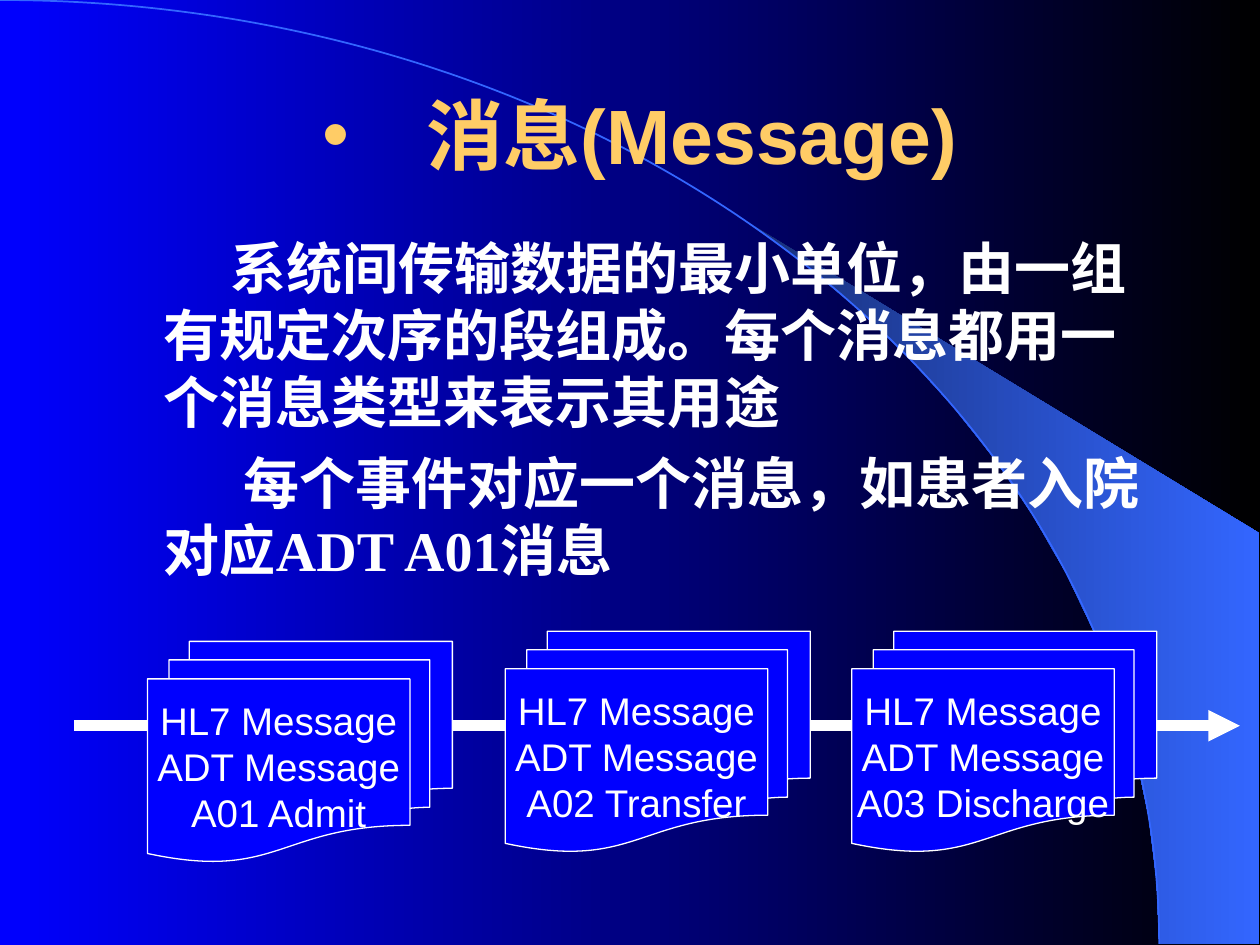
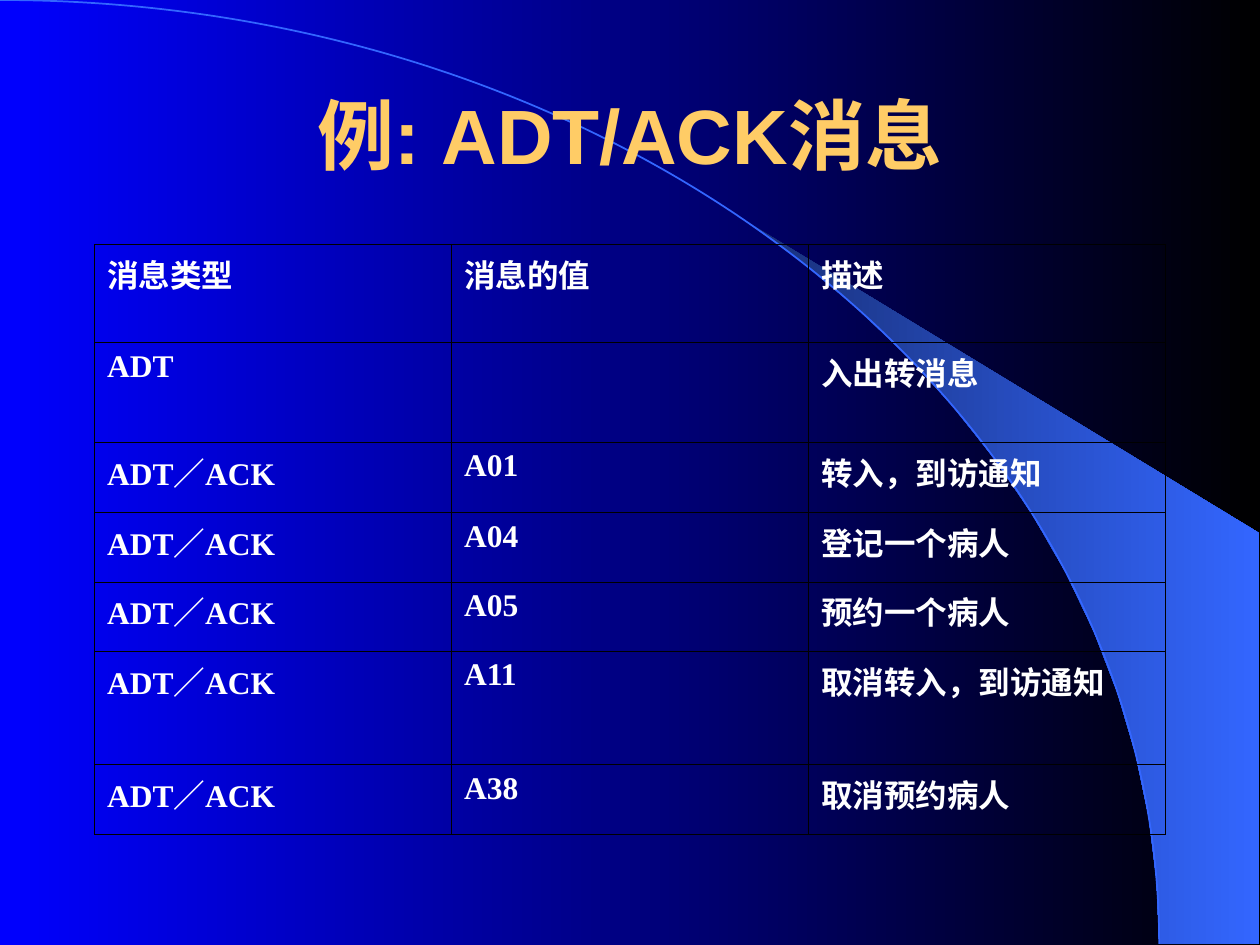
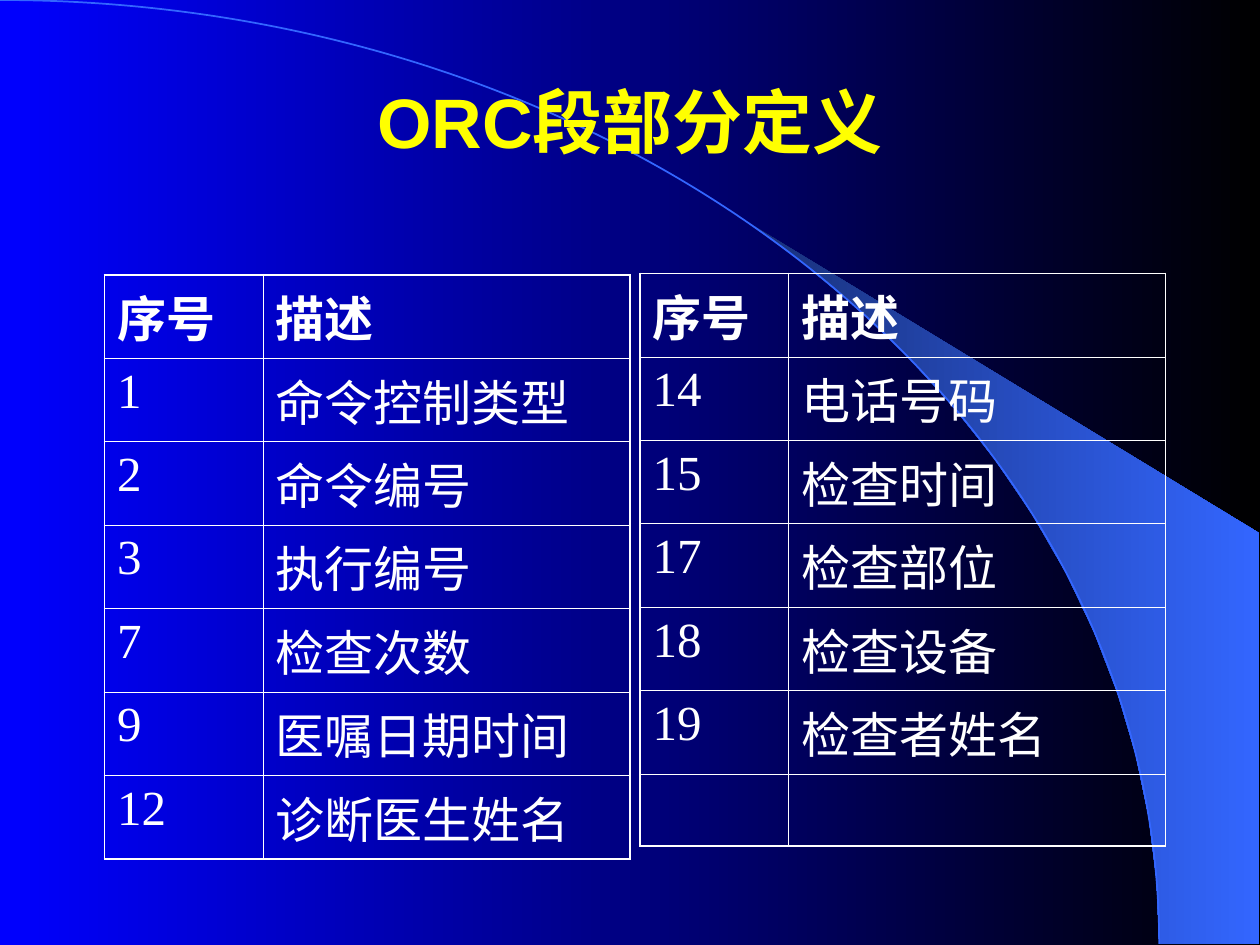
import math
import pptx
import pptx.dml.color
import pptx.enum.shapes
import pptx.enum.text
import pptx.oxml
import pptx.oxml.ns
import pptx.util

Inches = pptx.util.Inches
Pt = pptx.util.Pt
Align = pptx.enum.text.PP_ALIGN
Anchor = pptx.enum.text.MSO_ANCHOR

BLUE, BLACK, WHITE = "0000FF", "000000", "FFFFFF"
GOLD, YELLOW = "FFCC66", "FFFF00"
NAVY, SKY = "182F76", "3366FF"
SANS, SERIF = "Arial", "Times New Roman"
WIDE, HIGH = 10, 7.5
ARC_W, ARC_H = 9.2, 7.49


def color(code):
    return pptx.dml.color.RGBColor.from_string(code)


def node(tag, inner="", **attrs):
    pairs = "".join(f' {key}="{value}"' for key, value in attrs.items())
    space = pptx.oxml.ns.nsdecls("a")
    return pptx.oxml.parse_xml(f"<a:{tag} {space}{pairs}>{inner}</a:{tag}>")


def paint(code):
    return f'<a:solidFill><a:srgbClr val="{code}"/></a:solidFill>'


def blend(fill, first, last):
    fill.gradient()
    fill.gradient_angle = 0
    for stop, code in zip(fill.gradient_stops, (first, last)):
        stop.color.rgb = color(code)


def text(frame, lines, size=18, font=SANS, ink=WHITE, bold=False,
         align=Align.LEFT, anchor=Anchor.TOP, wrap=True, gap=0):
    frame.word_wrap = wrap
    frame.vertical_anchor = anchor
    for i, line in enumerate(lines):
        par = frame.add_paragraph() if i else frame.paragraphs[0]
        par.alignment = align
        par.space_before = Pt(gap if i else 0)
        run = par.add_run()
        run.text = line
        run.font.size = Pt(size)
        run.font.name = font
        run.font.bold = bold
        run.font.color.rgb = color(ink)


def indent(par, margin, lead, *marks):
    props = par._p.get_or_add_pPr()
    props.set("marL", str(Inches(margin)))
    props.set("indent", str(Inches(lead)))
    for mark in marks:
        props.append(mark)


def place(shape, left, top, width, height):
    shape.left, shape.top = Inches(left), Inches(top)
    shape.width, shape.height = Inches(width), Inches(height)


def title(slide, line, left=0.75, top=0.44, size=44, ink=GOLD):
    head = slide.shapes.title
    place(head, left, top, 8.5, 1.25)
    head.text_frame.auto_size = pptx.enum.text.MSO_AUTO_SIZE.NONE
    text(head.text_frame, [line], size=size, ink=ink, bold=True,
         align=Align.CENTER, anchor=Anchor.MIDDLE)
    return head.text_frame.paragraphs[0]


def arc(start, steps=13):
    angles = [start + (math.pi / 2 - start) * i / steps for i in range(steps + 1)]
    return [(ARC_W * math.sin(a), ARC_H * (1 - math.cos(a))) for a in angles]


def outline(shapes, points, close):
    spots = [(Inches(x), Inches(y)) for x, y in points]
    pen = shapes.build_freeform(*spots[0])
    pen.add_line_segments(spots[1:], close=close)
    shape = pen.convert_to_shape()
    shape.shadow.inherit = False
    return shape


def bend(shape, points):
    line = shape._element.xpath(".//a:lnTo")[0]
    inner = "".join(f'<a:pt x="{Inches(x)}" y="{Inches(y)}"/>' for x, y in points)
    line.getparent().replace(line, node("cubicBezTo", inner))


def backdrop(master, slide):
    blend(master.background.fill, BLUE, BLACK)
    group = slide.shapes.add_group_shape()
    rim = arc(math.asin(0.64))
    beam = outline(group.shapes, rim + [(9.99, ARC_H), (9.99, 4.23)], True)
    blend(beam.fill, NAVY, SKY)
    beam.line.fill.background()
    end = (ARC_W, ARC_H)
    curve = outline(group.shapes, [(0, 0), end], False)
    bend(curve, [(5.08, 0), (ARC_W, 3.35), end])
    curve.fill.background()
    curve.line.color.rgb = color(SKY)
    curve.line.width = Pt(1)
    master.element.cSld.spTree.insert(2, group.element)


def flow(slide, left, top, width):
    group = slide.shapes.add_group_shape()
    mid = Inches(top + 0.75)
    line = group.shapes.add_connector(
        pptx.enum.shapes.MSO_CONNECTOR.STRAIGHT,
        Inches(left), mid, Inches(left + width), mid)
    line.line.color.rgb = color(WHITE)
    line.line.width = Pt(6)
    line.line._get_or_add_ln().append(node("tailEnd", type="triangle"))
    line._element.spPr.append(node("effectLst"))
    events = [(6.17, 0, "A03 Discharge"), (3.42, 0, "A02 Transfer"),
              (0.58, 0.08, "A01 Admit")]
    for x, y, event in events:
        doc = group.shapes.add_shape(
            pptx.enum.shapes.MSO_SHAPE.FLOWCHART_MULTIDOCUMENT,
            Inches(left + x), Inches(top + y), Inches(2.42), Inches(1.75))
        doc.shadow.inherit = False
        doc.fill.solid()
        doc.fill.fore_color.rgb = color(BLUE)
        doc.line.color.rgb = color(WHITE)
        doc.line.width = Pt(0.75)
        text(doc.text_frame, ["HL7 Message", "ADT Message", event], size=22,
             align=Align.CENTER, anchor=Anchor.MIDDLE, wrap=False)


def edges(cell, code, widths):
    props = cell._tc.get_or_add_tcPr()
    for i, (side, width) in enumerate(zip("LRTB", widths)):
        props.insert(i, node("ln" + side, paint(code), w=Pt(width)))


def grid(slide, left, top, cols, rows, data, size, code, rim, strong=False):
    frame = slide.shapes.add_table(
        len(rows), len(cols), Inches(left), Inches(top),
        Inches(sum(cols)), Inches(sum(rows)))
    table = frame.table
    table.first_row = table.horz_banding = False
    for col, width in zip(table.columns, cols):
        col.width = Inches(width)
    for row, height in zip(table.rows, rows):
        row.height = Inches(height)
    for r, record in enumerate(data):
        for c, value in enumerate(record):
            cell = table.cell(r, c)
            cell.fill.background()
            outer = (c == 0, c == len(cols) - 1, r == 0, r == len(rows) - 1)
            edges(cell, code, [rim if out else 0.45 for out in outer])
            if value:
                text(cell.text_frame, [value], size=size, font=SERIF,
                     bold=strong or r == 0)


def message(slide):
    par = title(slide, "　消息(Message)", left=0.83)
    indent(par, 0, 0, node("buClr", f'<a:srgbClr val="{GOLD}"/>'),
           node("buFont", typeface=SANS), node("buChar", char="•"))
    body = slide.placeholders[1]
    place(body, 0.83, 1.8, 8.5, 3.1)
    body.text_frame.auto_size = pptx.enum.text.MSO_AUTO_SIZE.NONE
    text(body.text_frame, [
        "系统间传输数据的最小单位，由一组有规定次序的段组成。每个消息都用一个消息类型来表示其用途",
        "每个事件对应一个消息，如患者入院对应ADT A01消息",
    ], size=32, font=SERIF, bold=True, gap=8)
    for par, lead in zip(body.text_frame.paragraphs, (0.53, 0.63)):
        indent(par, 0.37, lead, node("buNone"))
    flow(slide, 0.59, 5.01, 9.25)


def sample(slide):
    title(slide, "例: ADT/ACK消息")
    pair = "ADT／ACK"
    data = [
        ("消息类型", "消息的值", "描述"),
        ("ADT", "", "入出转消息"),
        (pair, "A01", "转入，到访通知"),
        (pair, "A04", "登记一个病人"),
        (pair, "A05", "预约一个病人"),
        (pair, "A11", "取消转入，到访通知"),
        (pair, "A38", "取消预约病人"),
    ]
    rows = [0.78, 0.79, 0.56, 0.55, 0.55, 0.9, 0.55]
    grid(slide, 0.75, 1.94, [8.5 / 3] * 3, rows, data, 18, BLACK, 0.45, strong=True)


def fields(slide):
    title(slide, "ORC段部分定义", top=0.33, size=40, ink=YELLOW)
    head = ("序号", "描述")
    first = [head, ("1", "命令控制类型"), ("2", "命令编号"), ("3", "执行编号"),
             ("7", "检查次数"), ("9", "医嘱日期时间"), ("12", "诊断医生姓名")]
    second = [head, ("14", "电话号码"), ("15", "检查时间"), ("17", "检查部位"),
              ("18", "检查设备"), ("19", "检查者姓名"), ("", "")]
    sides = [(0.83, 2.18, [1.26, 2.91], first),
             (5.08, 2.17, [1.18, 2.99], second)]
    for left, top, cols, data in sides:
        grid(slide, left, top, cols, [0.57] * 7, data, 28, WHITE, 1.08)


def main():
    deck = pptx.Presentation()
    deck.slide_width, deck.slide_height = Inches(WIDE), Inches(HIGH)
    for build, layout in ((message, 1), (sample, 5), (fields, 5)):
        slide = deck.slides.add_slide(deck.slide_layouts[layout])
        if build is message:
            backdrop(deck.slide_master, slide)
        build(slide)
    deck.save("out.pptx")


if __name__ == "__main__":
    main()
